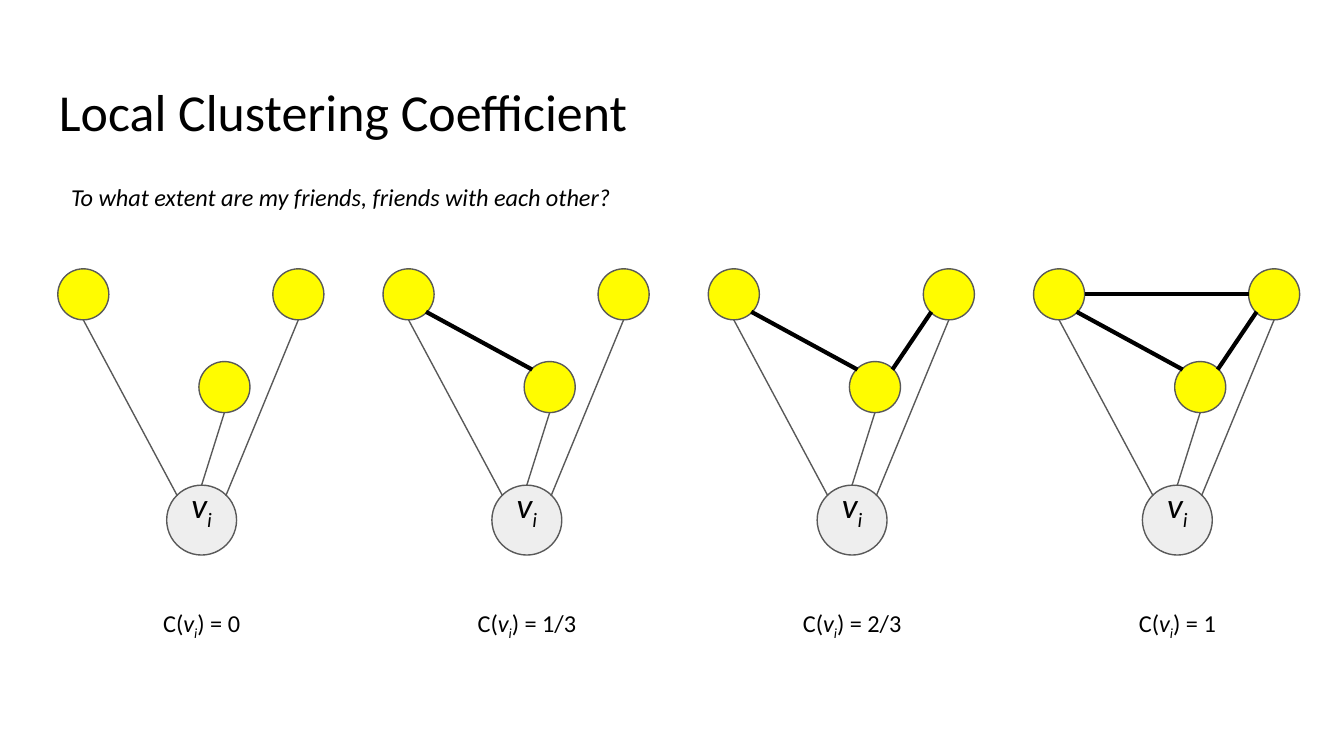
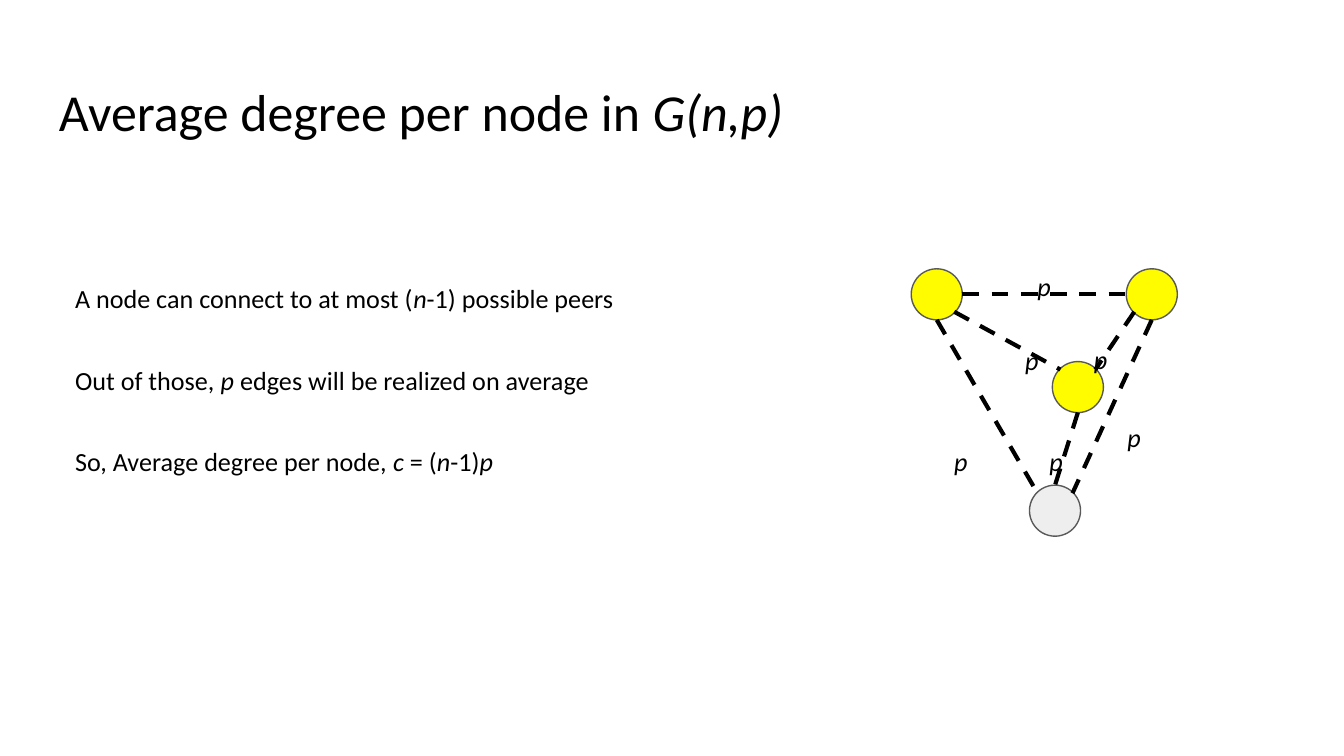
import math
from dataclasses import dataclass
from typing import NamedTuple, Optional

from lxml import etree
from pptx import Presentation
from pptx import util as u
from pptx.dml.color import RGBColor
from pptx.enum import dml, shapes, text
from pptx.oxml.ns import qn

EMU_PER_PX = 9144
SLIDE_WIDTH = 1000


def px(length: int) -> int:
    return length * EMU_PER_PX


@dataclass(frozen=True)
class Theme:
    font: str = "Calibri"
    ink: str = "000000"
    friend: str = "FFFC00"
    hub: str = "EEEEEE"
    outline: str = "595959"
    title_size: float = 27.8
    hub_size: float = 19
    body_size: float = 14
    caption_size: float = 13
    thin: float = 0.75
    thick: float = 2.25
    inset: int = 10


THEME = Theme()


class Box(NamedTuple):
    left: int
    top: int
    width: int
    height: int


class TextStyle(NamedTuple):
    size: float
    line_spacing: Optional[float] = None
    before: int = 0
    after: int = 0
    align: text.PP_ALIGN = text.PP_ALIGN.LEFT
    anchor: text.MSO_ANCHOR = text.MSO_ANCHOR.TOP
    grow: bool = False


class Stroke(NamedTuple):
    color: str
    width: float
    dashed: bool = False


class Node(NamedTuple):
    x: int
    y: int
    diameter: int
    fill: str

    def site(self, degrees: int) -> tuple[int, int]:
        radius = self.diameter / 2
        angle = math.radians(degrees)
        return (round(self.x + radius * math.cos(angle)),
                round(self.y + radius * math.sin(angle)))


class Edge(NamedTuple):
    start: str
    start_angle: int
    end: str
    end_angle: int


TITLE = TextStyle(THEME.title_size)
QUESTION = TextStyle(THEME.caption_size, 1.15, after=10, grow=True)
CAPTION = TextStyle(THEME.caption_size, 1.15, after=10,
                    align=text.PP_ALIGN.CENTER, anchor=text.MSO_ANCHOR.MIDDLE)
HUB_LABEL = TextStyle(THEME.hub_size, align=text.PP_ALIGN.CENTER,
                      anchor=text.MSO_ANCHOR.BOTTOM)
BODY = TextStyle(THEME.body_size, 2.0, before=10)
PROBABILITY = TextStyle(THEME.body_size, 2.0, after=10, grow=True)

TIE = Stroke(THEME.outline, THEME.thin)
FRIENDSHIP = Stroke(THEME.ink, THEME.thick)
POSSIBLE = Stroke(THEME.ink, THEME.thick, dashed=True)

HUB_TIES = [
    Edge("left", 90, "hub", 225),
    Edge("right", 90, "hub", 315),
    Edge("middle", 90, "hub", 270),
]
FRIEND_TIES = [
    Edge("left", 45, "middle", 225),
    Edge("right", 135, "middle", 315),
    Edge("left", 0, "right", 180),
]

FRIEND_DIAMETER = 38
HUB_DIAMETER = 52
HUB_TOP = 361
NETWORK_PITCH = 242
COEFFICIENTS = ["0", "1/3", "2/3", "1"]

DEGREE_STEPS = [
    "A node can connect to at most (*n*-1) possible peers",
    "Out of those, *p* edges will be realized on average",
    "So, Average degree per node, *c* = (*n*-1)*p*",
]
PROBABILITY_SPOTS = [(700, 298), (762, 168), (753, 223),
                     (829, 280), (804, 222), (771, 298)]


def write_runs(paragraph, markup: str, size: float) -> None:
    for position, section in enumerate(markup.split("*")):
        for depth, words in enumerate(section.split("_")):
            if not words:
                continue
            run = paragraph.add_run()
            run.text = words
            run.font.name = THEME.font
            run.font.size = u.Pt(size)
            run.font.italic = position % 2 == 1
            run.font.color.rgb = RGBColor.from_string(THEME.ink)
            if depth:
                run._r.get_or_add_rPr().set("baseline", "-25000")


def write_text(frame, lines: list[str], style: TextStyle) -> None:
    frame.word_wrap = True
    frame.vertical_anchor = style.anchor
    frame.margin_left = frame.margin_right = px(THEME.inset)
    frame.margin_top = frame.margin_bottom = px(THEME.inset)
    if style.grow:
        frame.auto_size = text.MSO_AUTO_SIZE.SHAPE_TO_FIT_TEXT
    for index, line in enumerate(lines):
        paragraph = frame.add_paragraph() if index else frame.paragraphs[0]
        paragraph.alignment = style.align
        paragraph.line_spacing = style.line_spacing
        paragraph.space_before = u.Pt(style.before if index else 0)
        paragraph.space_after = u.Pt(style.after)
        write_runs(paragraph, line, style.size)


def add_text(slide, box: Box, lines: list[str], style: TextStyle) -> None:
    label = slide.shapes.add_textbox(*map(px, box))
    write_text(label.text_frame, lines, style)


def apply_stroke(line, stroke: Stroke) -> None:
    line.color.rgb = RGBColor.from_string(stroke.color)
    line.width = u.Pt(stroke.width)
    if stroke.dashed:
        line.dash_style = dml.MSO_LINE.DASH


def add_node(slide, node: Node, label: str = "") -> None:
    radius = node.diameter // 2
    circle = slide.shapes.add_shape(
        shapes.MSO_SHAPE.OVAL, px(node.x - radius), px(node.y - radius),
        px(node.diameter), px(node.diameter))
    circle.shadow.inherit = False
    circle.fill.solid()
    circle.fill.fore_color.rgb = RGBColor.from_string(node.fill)
    apply_stroke(circle.line, TIE)
    if label:
        write_text(circle.text_frame, [label], HUB_LABEL)


def add_edge(slide, nodes: dict[str, Node], edge: Edge, stroke: Stroke) -> None:
    start = nodes[edge.start].site(edge.start_angle)
    end = nodes[edge.end].site(edge.end_angle)
    connector = slide.shapes.add_connector(
        shapes.MSO_CONNECTOR.STRAIGHT, *map(px, start + end))
    apply_stroke(connector.line, stroke)
    etree.SubElement(connector._element.spPr, qn("a:effectLst"))


def add_network(slide, offset: int, hub_diameter: int, hub_label: str,
                hub_stroke: Stroke, friend_ties: list[Edge],
                friend_stroke: Stroke) -> None:
    nodes = {
        "hub": Node(offset + 150, HUB_TOP + hub_diameter // 2,
                    hub_diameter, THEME.hub),
        "left": Node(offset + 62, 219, FRIEND_DIAMETER, THEME.friend),
        "right": Node(offset + 222, 219, FRIEND_DIAMETER, THEME.friend),
        "middle": Node(offset + 167, 288, FRIEND_DIAMETER, THEME.friend),
    }
    for role, node in nodes.items():
        add_node(slide, node, hub_label if role == "hub" else "")
    for edge in HUB_TIES:
        add_edge(slide, nodes, edge, hub_stroke)
    for edge in friend_ties:
        add_edge(slide, nodes, edge, friend_stroke)


def add_titled_slide(deck, title: str):
    slide = deck.slides.add_slide(deck.slide_layouts[6])
    add_text(slide, Box(34, 49, 932, 63), [title], TITLE)
    return slide


def build_clustering(deck) -> None:
    slide = add_titled_slide(deck, "Local Clustering Coefficient")
    add_text(slide, Box(43, 122, 645, 42),
             ["*To what extent are my friends, friends with each other?*"],
             QUESTION)
    for tie_count, coefficient in enumerate(COEFFICIENTS):
        offset = tie_count * NETWORK_PITCH
        add_network(slide, offset, HUB_DIAMETER, "*v_i*", TIE,
                    FRIEND_TIES[:tie_count], FRIENDSHIP)
        add_text(slide, Box(offset + 76, 442, 148, 42),
                 [f"C(*v_i*) = {coefficient}"], CAPTION)


def build_average_degree(deck) -> None:
    slide = add_titled_slide(deck, "Average degree per node in *G(n,p)*")
    add_network(slide, 635, FRIEND_DIAMETER, "", POSSIBLE,
                FRIEND_TIES, POSSIBLE)
    add_text(slide, Box(46, 177, 548, 258), DEGREE_STEPS, BODY)
    for left, top in PROBABILITY_SPOTS:
        add_text(slide, Box(left, top, 29, 44), ["*p*"], PROBABILITY)


def main() -> None:
    deck = Presentation()
    deck.slide_width = px(SLIDE_WIDTH)
    deck.slide_height = px(SLIDE_WIDTH) * 9 // 16
    build_clustering(deck)
    build_average_degree(deck)
    deck.save("out.pptx")


if __name__ == "__main__":
    main()
